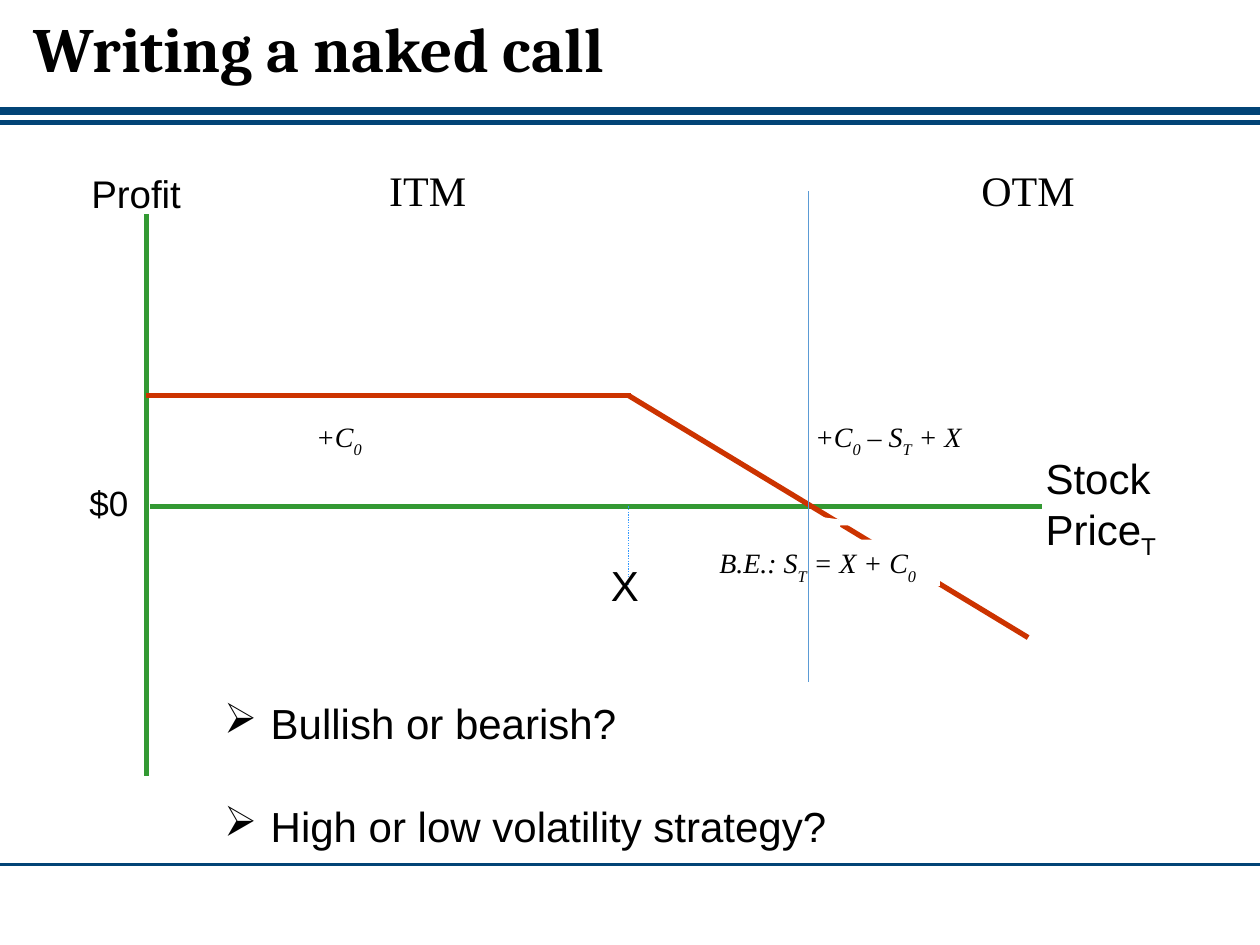
from lxml import etree
from pptx import Presentation, util as u
from pptx.dml.color import RGBColor
from pptx.enum import dml, shapes, text
from pptx.oxml import ns

NAVY = RGBColor(0x02, 0x44, 0x76)
GREEN = RGBColor(0x33, 0x99, 0x33)
RED = RGBColor(0xCC, 0x33, 0x00)
SKY = RGBColor(0x33, 0x99, 0xFF)
BLUE = RGBColor(0x5B, 0x9B, 0xD5)
WHITE = RGBColor(0xFF, 0xFF, 0xFF)
BLACK = RGBColor(0, 0, 0)
SANS, SERIF, HEAD = "Arial", "Times New Roman", "Cambria"

# Grid of 100 columns by 75 rows
WIDE, HIGH = u.Inches(10), u.Inches(7.5)
COL, ROW = WIDE / 100, HIGH / 75

# Key places on the chart, in columns and rows
AXIS, STRIKE, EVEN = 11.6, 49.9, 64.2
GAIN, ZERO = 31.4, 40.2


def place(x, y):
    return int(x * COL), int(y * ROW)


def draw_line(slide, start, end, color, width, dash=None):
    line = slide.shapes.add_connector(
        shapes.MSO_CONNECTOR.STRAIGHT, *place(*start), *place(*end))
    line.line.color.rgb = color
    line.line.width = u.Pt(width)
    if dash:
        line.line.dash_style = dash
    etree.SubElement(line._element.spPr, ns.qn("a:effectLst"))


def add_runs(para, parts, size, face, bold=False, ital=False, drop=-30):
    """Every second part is a subscript."""
    for i, part in enumerate(parts):
        for j, piece in enumerate(part.split("\n")):
            if j:
                para.add_line_break()
            run = para.add_run()
            run.text = piece
            font = run.font
            font.size, font.name = u.Pt(size), face
            font.bold, font.italic = bold, ital
            font.color.rgb = BLACK
            if i % 2:
                run._r.get_or_add_rPr().set("baseline", str(drop * 1000))


def add_text(slide, box, parts, size, face, wrap=False, mid=False,
             align=text.PP_ALIGN.LEFT, grow=True, **style):
    shape = slide.shapes.add_textbox(*place(*box[:2]), *place(*box[2:]))
    frame = shape.text_frame
    frame.word_wrap = wrap
    if grow:
        frame.auto_size = text.MSO_AUTO_SIZE.SHAPE_TO_FIT_TEXT
    frame.vertical_anchor = (
        text.MSO_ANCHOR.MIDDLE if mid else text.MSO_ANCHOR.TOP)
    para = frame.paragraphs[0]
    para.alignment = align
    add_runs(para, parts, size, face, **style)
    return para


def add_label(slide, kind, box, parts, turns=()):
    """White shape that holds a formula."""
    shape = slide.shapes.add_shape(kind, *place(*box[:2]), *place(*box[2:]))
    shape.shadow.inherit = False
    shape.fill.solid()
    shape.fill.fore_color.rgb = WHITE
    shape.line.fill.background()
    for i, turn in enumerate(turns):
        shape.adjustments[i] = turn
    shape.text_frame.vertical_anchor = text.MSO_ANCHOR.TOP
    para = shape.text_frame.paragraphs[0]
    para.alignment = text.PP_ALIGN.CENTER
    add_runs(para, parts, 16, SERIF, ital=True)


def add_list(slide, box, items):
    shape = slide.shapes.add_textbox(*place(*box[:2]), *place(*box[2:]))
    frame = shape.text_frame
    frame.word_wrap = True
    for i, item in enumerate(items):
        para = frame.add_paragraph() if i else frame.paragraphs[0]
        props = para._p.get_or_add_pPr()
        dent = int(3.7 * COL)
        props.set("marL", str(dent))
        props.set("indent", str(-dent))
        mark = etree.SubElement(props, ns.qn("a:buChar"))
        mark.set("char", "➢")
        if i:
            para.space_before = u.Pt(30)
        add_runs(para, [item], 24, SANS)


def main():
    prs = Presentation()
    prs.slide_width, prs.slide_height = WIDE, HIGH
    slide = prs.slides.add_slide(prs.slide_layouts[6])
    center = text.PP_ALIGN.CENTER
    rect = shapes.MSO_SHAPE.RECTANGLE

    # Frame rules and title
    for row, width in ((8.8, 4.5), (9.7, 3), (68.6, 1.5)):
        draw_line(slide, (0, row), (100, row), NAVY, width)
    title = add_text(slide, (1.7, 0.7, 67.5, 6.8), ["Writing a naked call"],
                     36, HEAD, wrap=True, mid=True, grow=False, bold=True)
    title.line_spacing = 0.9

    # Axes and payoff
    draw_line(slide, (11.9, ZERO), (82.7, ZERO), GREEN, 3)
    draw_line(slide, (AXIS, 17), (AXIS, 61.6), GREEN, 3)
    draw_line(slide, (AXIS, GAIN), (50.1, GAIN), RED, 3)
    draw_line(slide, (STRIKE, GAIN), (81.6, 50.6), RED, 3)

    # Axis names
    add_text(slide, (82, 35.7, 11.3, 9), ["Stock\nPrice", "T"], 24, SANS,
             mid=True, drop=-25)
    add_text(slide, (6.2, 13, 9.2, 4.7), ["Profit"], 22, SANS,
             mid=True, align=center)
    add_text(slide, (6.1, 37.7, 5.1, 4.3), ["$0"], 20, SANS,
             mid=True, align=center)

    # Strike price and formulas
    draw_line(slide, (STRIKE, ZERO), (STRIKE, 46.4), SKY, 0.75,
              dml.MSO_LINE.ROUND_DOT)
    for left, parts in ((17.2, ["+C", "0"]),
                        (60.8, ["+C", "0", " – S", "T", " + X"])):
        add_label(slide, rect, (left, 32.8, 19.4, 3.7), parts)
    add_text(slide, (47.5, 43.9, 4.9, 5), ["X"], 24, SANS, wrap=True)

    # Questions
    add_list(slide, (16.8, 54.9, 68.1, 13.8),
             ["Bullish or bearish?", "High or low volatility strategy?"])

    # Break-even point and the two zones
    add_label(slide, shapes.MSO_SHAPE.UP_ARROW_CALLOUT,
              (55.2, 41, 19.4, 5.5), ["B.E.: S", "T", " = X + C", "0"],
              (0.648, 0.966, 0.126, 0.667))
    draw_line(slide, (EVEN, 15.2), (EVEN, 54.1), BLUE, 0.5)
    for left, width, zone in ((76.9, 9.5, "OTM"), (29.9, 8.2, "ITM")):
        add_text(slide, (left, 12.6, width, 5), [zone], 24, SERIF)

    prs.save("out.pptx")


if __name__ == "__main__":
    main()
